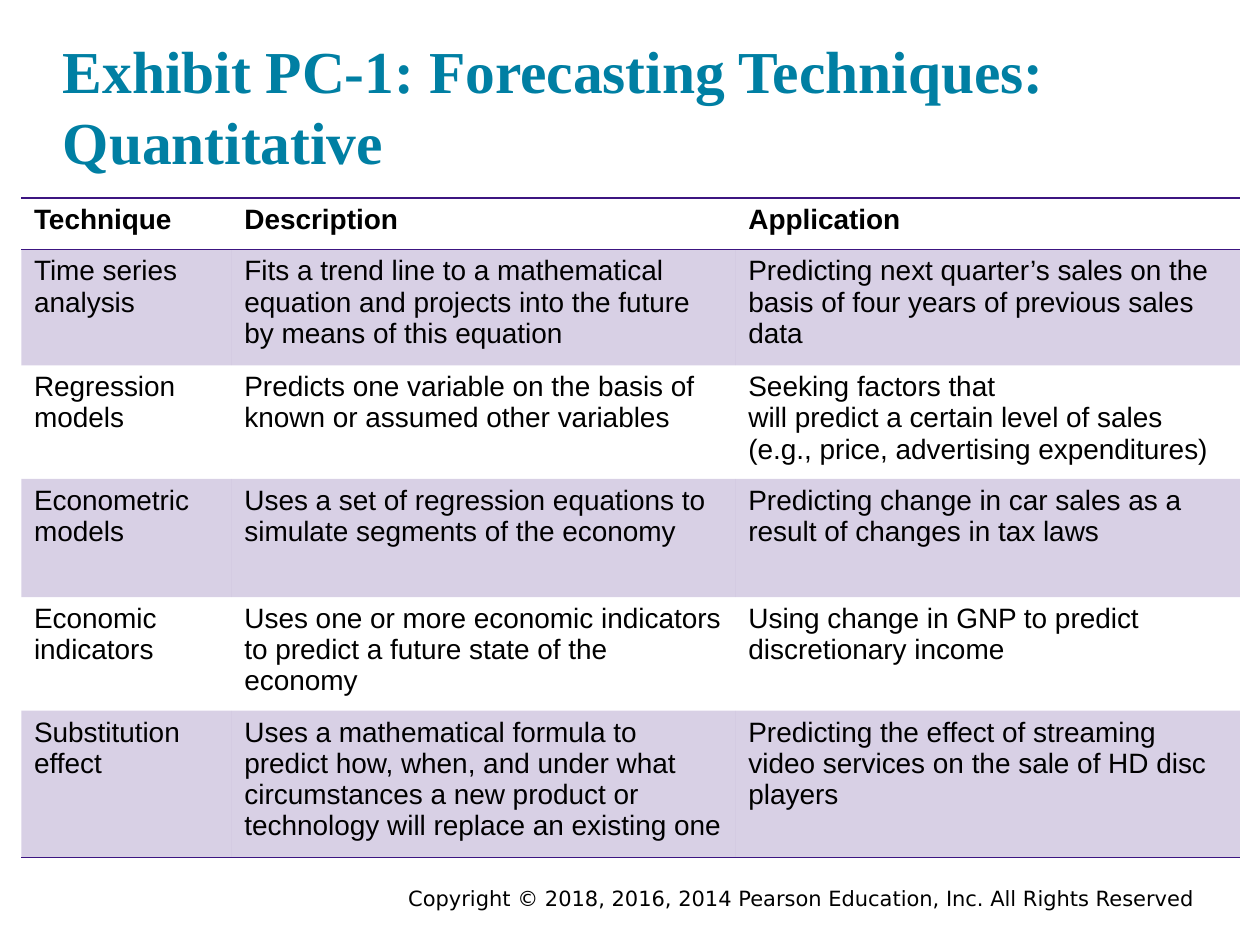
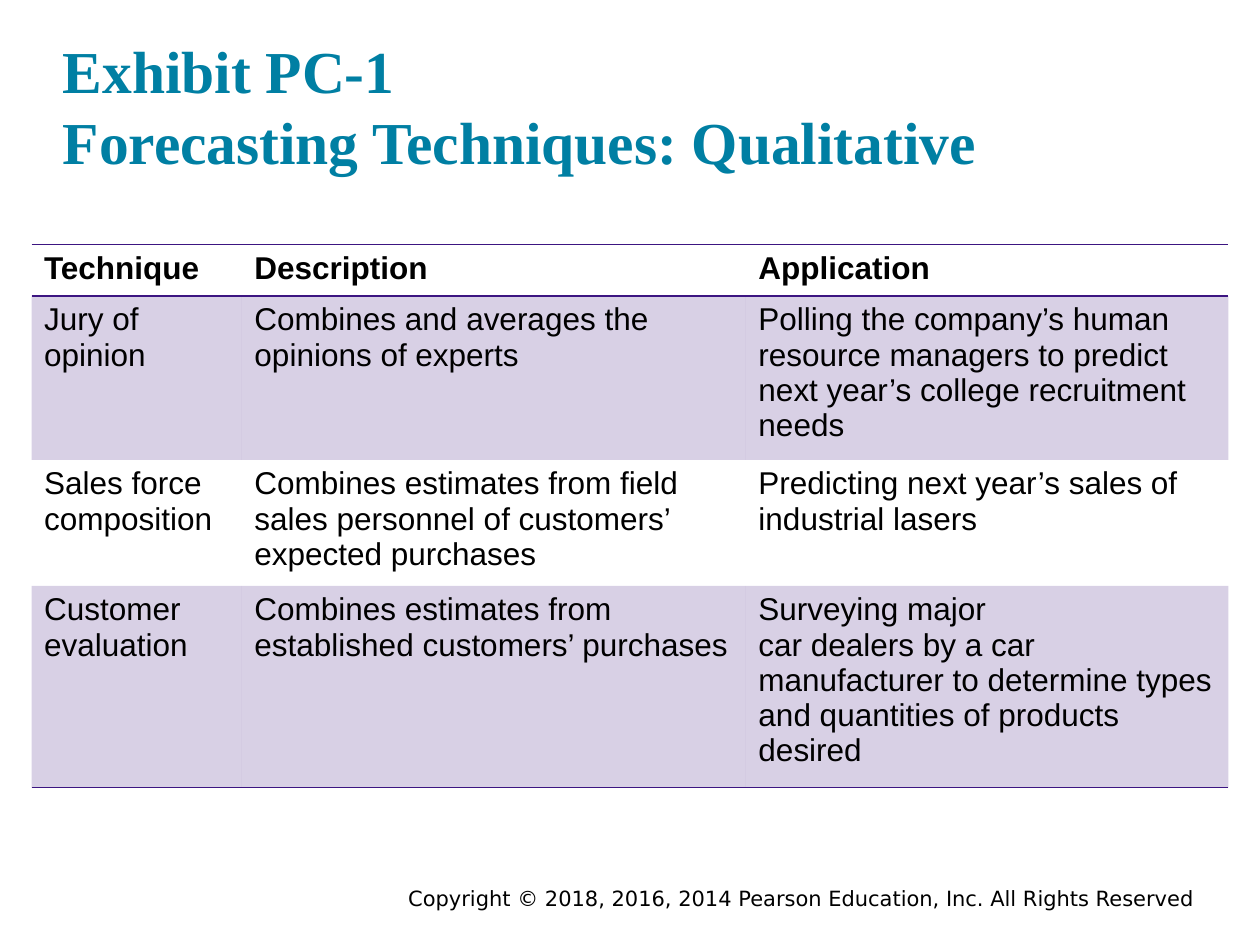
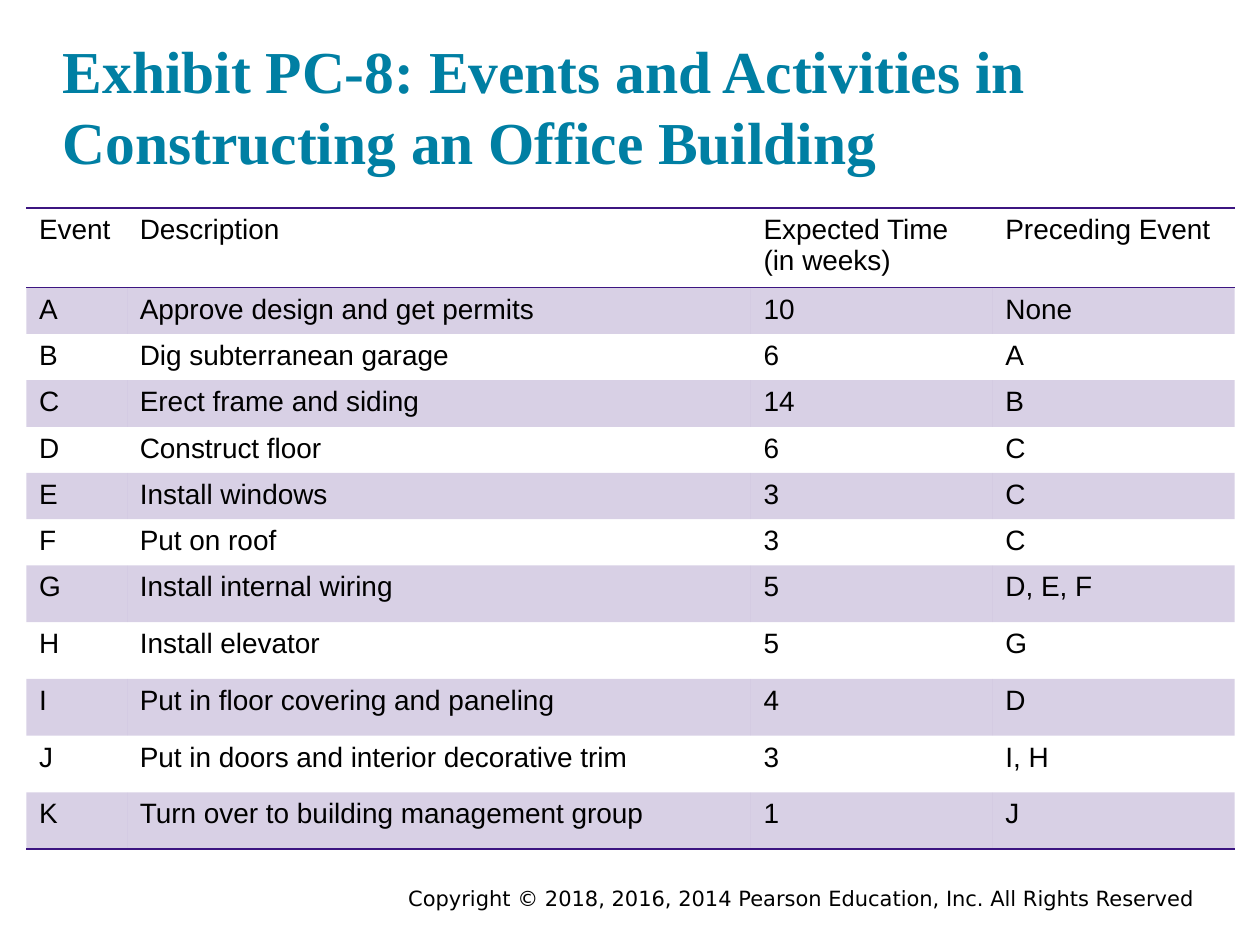
from lxml.etree import SubElement
from pptx import Presentation
from pptx.dml.color import RGBColor
from pptx.enum.text import MSO_ANCHOR, PP_ALIGN
from pptx.oxml.ns import qn
from pptx.util import Inches, Pt

COLORS = {"title": "007FA3", "text": "000000", "purple": "3C1581"}
PLAIN_TABLE = "{2D5ABB26-0587-4C30-8999-92F81FD0307C}"
COPYRIGHT = "Copyright © 2018, 2016, 2014 Pearson Education, Inc. All Rights Reserved"

QUANTITATIVE = [
    ("Technique", "Description", "Application"),
    ("Time series analysis",
     "Fits a trend line to a mathematical equation and projects into the future by means of this equation",
     "Predicting next quarter’s sales on the basis of four years of previous sales data"),
    ("Regression models",
     "Predicts one variable on the basis of known or assumed other variables",
     "Seeking factors that\nwill predict a certain level of sales (e.g., price, advertising expenditures)"),
    ("Econometric models",
     "Uses a set of regression equations to simulate segments of the economy",
     "Predicting change in car sales as a result of changes in tax laws"),
    ("Economic indicators",
     "Uses one or more economic indicators to predict a future state of the economy",
     "Using change in GNP to predict discretionary income"),
    ("Substitution effect",
     "Uses a mathematical formula to predict how, when, and under what circumstances "
     "a new product or technology will replace an existing one",
     "Predicting the effect of streaming video services on the sale of HD disc players"),
]

QUALITATIVE = [
    ("Technique", "Description", "Application"),
    ("Jury of opinion",
     "Combines and averages the opinions of experts",
     "Polling the company’s human resource managers to predict next year’s college recruitment needs"),
    ("Sales force composition",
     "Combines estimates from field sales personnel of customers’ expected purchases",
     "Predicting next year’s sales of industrial lasers"),
    ("Customer evaluation",
     "Combines estimates from established customers’ purchases",
     "Surveying major\ncar dealers by a car manufacturer to determine types and quantities of products desired"),
]

EVENTS = [
    ("Event", "Description", "Expected Time (in weeks)", "Preceding Event"),
    ("A", "Approve design and get permits", "10", "None"),
    ("B", "Dig subterranean garage", "6", "A"),
    ("C", "Erect frame and siding", "14", "B"),
    ("D", "Construct floor", "6", "C"),
    ("E", "Install windows", "3", "C"),
    ("F", "Put on roof", "3", "C"),
    ("G", "Install internal wiring", "5", "D, E, F"),
    ("H", "Install elevator", "5", "G"),
    ("I", "Put in floor covering and paneling", "4", "D"),
    ("J", "Put in doors and interior decorative trim", "3", "I, H"),
    ("K", "Turn over to building management group", "1", "J"),
]


def set_text(p, text, font, size, color, bold=False):
    p.text = text
    p.font.name = font
    p.font.size = Pt(size)
    p.font.bold = bold
    p.font.color.rgb = RGBColor.from_string(COLORS[color])


def add_box(s, left, top, width, height):
    tf = s.shapes.add_textbox(Inches(left), Inches(top), Inches(width), Inches(height)).text_frame
    tf.word_wrap = True
    return tf


def add_title(s, text):
    tf = add_box(s, 0.5, 0.25, 9, 1.17)
    tf.margin_left = tf.margin_right = tf.margin_top = tf.margin_bottom = 0
    tf.vertical_anchor = MSO_ANCHOR.MIDDLE
    set_text(tf.paragraphs[0], text, "Times New Roman", 34, "title", bold=True)


def add_footer(s):
    p = add_box(s, 1.75, 6.98, 7.83, 0.3).paragraphs[0]
    p.alignment = PP_ALIGN.RIGHT
    set_text(p, COPYRIGHT, "DejaVu Sans", 12, "text")


def add_border(cell, side):
    ln = SubElement(cell._tc.get_or_add_tcPr(), qn(f"a:{side}"), w=str(Pt(1)))
    fill = SubElement(ln, qn("a:solidFill"))
    SubElement(fill, qn("a:srgbClr"), val=COLORS["purple"])


def fill_band(cell):
    cell.fill.solid()
    cell.fill.fore_color.rgb = RGBColor.from_string(COLORS["purple"])
    for clr in cell._tc.tcPr.findall(f"{qn('a:solidFill')}/{qn('a:srgbClr')}"):
        SubElement(clr, qn("a:alpha"), val="20000")


def add_data_table(s, left, top, height, widths, row_heights, rows, size, bold_header=True):
    frame = s.shapes.add_table(len(rows), len(widths), Inches(left), Inches(top),
                               Inches(sum(widths)), Inches(height))
    table = frame.table
    table.horz_banding = False
    table._tbl.tblPr.find(qn("a:tableStyleId")).text = PLAIN_TABLE
    for column, width in zip(table.columns, widths):
        column.width = Inches(width)
    for row, row_height in zip(table.rows, row_heights):
        row.height = Inches(row_height)
    frame.height = Inches(height)
    for i, texts in enumerate(rows):
        for j, text in enumerate(texts):
            cell = table.cell(i, j)
            set_text(cell.text_frame.paragraphs[0], text, "Arial", size, "text",
                     bold=bold_header and i == 0)
            if i == 0:
                add_border(cell, "lnT")
            if i in (0, len(rows) - 1):
                add_border(cell, "lnB")
            if i % 2:
                fill_band(cell)
            else:
                cell.fill.background()


def add_exhibit(prs, title):
    s = prs.slides.add_slide(prs.slide_layouts[6])
    add_footer(s)
    add_title(s, title)
    return s


def main():
    prs = Presentation()
    prs.slide_width, prs.slide_height = Inches(10), Inches(7.5)

    s = add_exhibit(prs, "Exhibit PC-1: Forecasting Techniques: Quantitative")
    add_data_table(s, 0.17, 1.57, 5.24, [1.67, 4, 4], [0.41, 0.92, 0.41, 0.94, 0.41, 0.41],
                   QUANTITATIVE, 16)

    s = add_exhibit(prs, "Exhibit PC-1\nForecasting Techniques: Qualitative")
    add_data_table(s, 0.25, 1.94, 4.31, [1.67, 4, 3.83], [0.41, 0.92, 0.41, 0.94],
                   QUALITATIVE, 18)

    s = add_exhibit(prs, "Exhibit PC-8: Events and Activities in Constructing an Office Building")
    add_data_table(s, 0.21, 1.65, 5.1, [0.8, 4.95, 1.92, 1.92],
                   [0.63, 0.36, 0.36, 0.37, 0.36, 0.36, 0.14] + [0.45] * 5,
                   EVENTS, 16, bold_header=False)

    prs.save("out.pptx")


if __name__ == "__main__":
    main()
